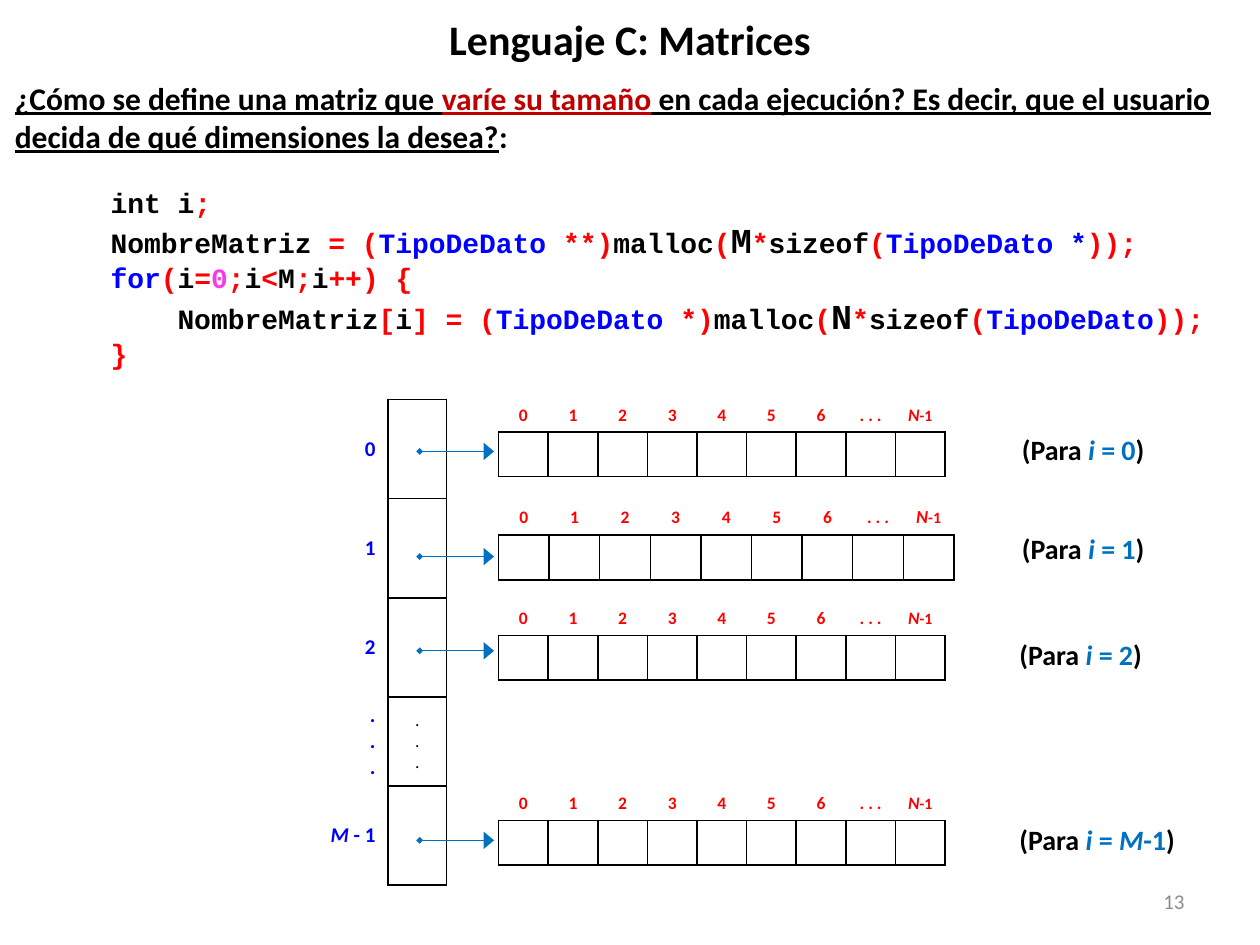
from dataclasses import dataclass
from typing import Any, NamedTuple

from lxml import etree
from pptx import Presentation
from pptx.dml.color import RGBColor
from pptx.enum.shapes import MSO_CONNECTOR
from pptx.enum.text import MSO_ANCHOR, PP_ALIGN
from pptx.oxml.ns import qn
from pptx.util import Cm, Pt

LEFT, CENTER, RIGHT, JUSTIFY = PP_ALIGN.LEFT, PP_ALIGN.CENTER, PP_ALIGN.RIGHT, PP_ALIGN.JUSTIFY
MIDDLE, STRAIGHT = MSO_ANCHOR.MIDDLE, MSO_CONNECTOR.STRAIGHT
BLACK, WHITE, RED, BLUE, PINK = "000000", "FFFFFF", "FF0000", "0000FF", "F63CE9"
DARK_RED, SKY, GRAY = "C00000", "0070C0", "8C8C8C"
NO_STYLE = "{2D5ABB26-0587-4C30-8999-92F81FD0307C}"


class Run(NamedTuple):
    text: str
    color: str = BLACK
    fmt: dict[str, Any] = {}


class CodeLine(NamedTuple):
    runs: list[Run]
    indent: float = 1.98


@dataclass
class Vector:
    top: float
    col_width: float
    arrow_y: float
    label_left: float
    label_top: float
    index: list[Run]
    header_height: float = 0.66
    n_size: float = 10


ITALIC = {"italic": True}
UNDERLINE = {"underline": True}
BIG = {"size": Pt(20)}
TITLE_FMT = {"name": "Calibri", "size": Pt(24), "bold": True}
QUESTION_FMT = TITLE_FMT | {"size": Pt(18)}
LABEL_FMT = TITLE_FMT | {"size": Pt(16)}
INDEX_FMT = TITLE_FMT | {"size": Pt(12)}
HEADER_FMT = TITLE_FMT | {"size": Pt(10)}
DOT_FMT = HEADER_FMT | {"bold": False}
NUMBER_FMT = INDEX_FMT | {"bold": False}
CODE_FMT = LABEL_FMT | {"name": "Courier New"}

QUESTION = [
    Run("¿Cómo se define una matriz que ", BLACK, UNDERLINE),
    Run("varíe su tamaño", DARK_RED, UNDERLINE),
    Run(" en cada ejecución? Es decir, que el usuario decida de qué dimensiones la desea?",
        BLACK, UNDERLINE),
    Run(":"),
]


def malloc_runs(stars: str, count: str, item: str, closing: str) -> list[Run]:
    return [Run("= (", RED), Run("TipoDeDato ", BLUE), Run(stars + ")", RED), Run("malloc"),
            Run("(", RED), Run(count, BLACK, BIG), Run("*", RED), Run("sizeof"),
            Run("(", RED), Run(item, BLUE), Run(closing, RED)]


CODE = [
    CodeLine([Run("int i"), Run(";", RED)]),
    CodeLine([Run("NombreMatriz "), *malloc_runs("**", "M", "TipoDeDato *", "));")]),
    CodeLine([Run("for", BLUE), Run("(", RED), Run("i"), Run("=", RED), Run("0", PINK),
              Run(";", RED), Run("i"), Run("<", RED), Run("M"), Run(";", RED), Run("i"),
              Run("++) {", RED)]),
    CodeLine([Run("NombreMatriz"), Run("[", RED), Run("i"), Run("] ", RED),
              *malloc_runs("*", "N", "TipoDeDato", "));")], 3.33),
    CodeLine([Run("}", RED)]),
]

VECTORS = [
    Vector(8.05, 1, 9.1, 20.35, 8.59, [Run("0", SKY)]),
    Vector(10.1, 1.02, 11.22, 20.35, 10.6, [Run("1", SKY)], 0.69, 10.5),
    Vector(12.15, 1, 13.12, 20.3, 12.72, [Run("2", SKY)]),
    Vector(15.88, 1, 16.94, 20.3, 16.46, [Run("M", SKY, ITALIC), Run("-1", SKY)]),
]

ROW_LABELS = [[[Run(n, BLUE)]] for n in "012"]
ROW_LABELS += [[[Run(".", BLUE)]] * 3, [[Run("M ", BLUE, ITALIC), Run("- 1", BLUE)]]]
ROW_HEIGHTS = [2, 2, 2, 1.79, 2]


def rgb(color: str) -> RGBColor:
    return RGBColor.from_string(color)


def write(p, runs: list[Run], base: dict[str, Any], align=LEFT) -> None:
    p.alignment = align
    for run in runs:
        r = p.add_run()
        r.text = run.text
        for key, value in (base | run.fmt).items():
            setattr(r.font, key, value)
        r.font.color.rgb = rgb(run.color)


def write_lines(tf, lines: list[list[Run]], base: dict[str, Any], align=LEFT) -> None:
    for i, runs in enumerate(lines):
        write(tf.add_paragraph() if i else tf.paragraphs[0], runs, base, align)


def add_text(slide, box: tuple, lines: list[list[Run]], base: dict[str, Any],
             align=LEFT, wrap: bool = True):
    tf = slide.shapes.add_textbox(*map(Cm, box)).text_frame
    tf.word_wrap = wrap
    write_lines(tf, lines, base, align)
    return tf


def add_grid(slide, left: float, top: float, widths: list[float], heights: list[float]):
    shape = slide.shapes.add_table(len(heights), len(widths), Cm(left), Cm(top),
                                   Cm(sum(widths)), Cm(sum(heights)))
    table = shape.table
    table.first_row = table.horz_banding = False
    table._tbl.tblPr.find(qn("a:tableStyleId")).text = NO_STYLE
    for col, width in zip(table.columns, widths):
        col.width = Cm(width)
    for row, height in zip(table.rows, heights):
        row.height = Cm(height)
    return table


def format_cell(cell, bordered: bool, margin_x: float = 0.25, margin_y: float = 0.12) -> None:
    cell.margin_left = cell.margin_right = Cm(margin_x)
    cell.margin_top = cell.margin_bottom = Cm(margin_y)
    if bordered:
        tcPr = cell._tc.get_or_add_tcPr()
        for side in ("a:lnL", "a:lnR", "a:lnT", "a:lnB"):
            ln = etree.SubElement(tcPr, qn(side), w=str(Pt(1)))
            fill = etree.SubElement(ln, qn("a:solidFill"))
            etree.SubElement(fill, qn("a:srgbClr"), val=BLACK)
    cell.fill.solid()
    cell.fill.fore_color.rgb = rgb(WHITE)


def add_pointer_column(slide) -> None:
    table = add_grid(slide, 6.35, 8.05, [1.47, 1.18], ROW_HEIGHTS)
    for i, lines in enumerate(ROW_LABELS):
        label, pointer = table.cell(i, 0), table.cell(i, 1)
        format_cell(label, False)
        format_cell(pointer, True)
        label.vertical_anchor = pointer.vertical_anchor = MIDDLE
        write_lines(label.text_frame, lines, INDEX_FMT, RIGHT)
    write_lines(table.cell(3, 1).text_frame, [[Run(".")]] * 3, DOT_FMT, CENTER)


def add_arrow(slide, x1: float, x2: float, y: float) -> None:
    line = slide.shapes.add_connector(STRAIGHT, Cm(x1), Cm(y), Cm(x2), Cm(y))
    line.line.color.rgb = rgb(SKY)
    line.line.width = Pt(0.75)
    ln = line.line._get_or_add_ln()
    etree.SubElement(ln, qn("a:headEnd"), type="diamond", w="sm", len="sm")
    etree.SubElement(ln, qn("a:tailEnd"), type="triangle", w="lg", len="med")
    etree.SubElement(line._element.spPr, qn("a:effectLst"))


def add_vector(slide, v: Vector) -> None:
    last = [Run("N", RED, ITALIC | {"size": Pt(v.n_size)}), Run("-1", RED, {"size": Pt(9)})]
    headers = [[Run(t, RED)] for t in (*"0123456", ". . .")] + [last]
    table = add_grid(slide, 10.05, v.top, [v.col_width] * len(headers), [v.header_height, 0.9])
    for j, runs in enumerate(headers):
        format_cell(table.cell(0, j), False, 0.1, 0.11)
        format_cell(table.cell(1, j), True, 0, 0)
        write(table.cell(0, j).text_frame.paragraphs[0], runs, HEADER_FMT, CENTER)
    add_arrow(slide, 8.46, 9.96, v.arrow_y)
    label = [Run("(Para "), Run("i ", SKY, ITALIC), Run("= ", SKY), *v.index, Run(")")]
    width = 3.02 if len(v.index) == 1 else 3.68
    add_text(slide, (v.label_left, v.label_top, width, 0.94), [label], LABEL_FMT, wrap=False)


def main() -> None:
    prs = Presentation()
    prs.slide_width, prs.slide_height = Cm(25.4), Cm(19.05)
    slide = prs.slides.add_slide(prs.slide_layouts[5])

    title = slide.shapes.title
    title.left, title.top, title.width, title.height = map(Cm, (1.27, 0, 22.86, 1.57))
    title.text_frame.vertical_anchor = MIDDLE
    write(title.text_frame.paragraphs[0], [Run("Lenguaje C: Matrices")], TITLE_FMT, CENTER)

    tf = add_text(slide, (0.05, 1.47, 25.35, 1.8), [QUESTION], QUESTION_FMT)
    tf.paragraphs[0].space_after = Pt(6)

    tf = add_text(slide, (0, 3.61, 25.4, 4.01), [c.runs for c in CODE], CODE_FMT, JUSTIFY)
    for p, line in zip(tf.paragraphs, CODE):
        p._p.get_or_add_pPr().set("marL", str(Cm(line.indent)))

    add_pointer_column(slide)
    for v in VECTORS:
        add_vector(slide, v)

    tf = add_text(slide, (18.2, 17.66, 5.93, 1.01), [[Run("13", GRAY)]], NUMBER_FMT, RIGHT)
    tf.vertical_anchor = MIDDLE
    prs.save("out.pptx")


if __name__ == "__main__":
    main()
